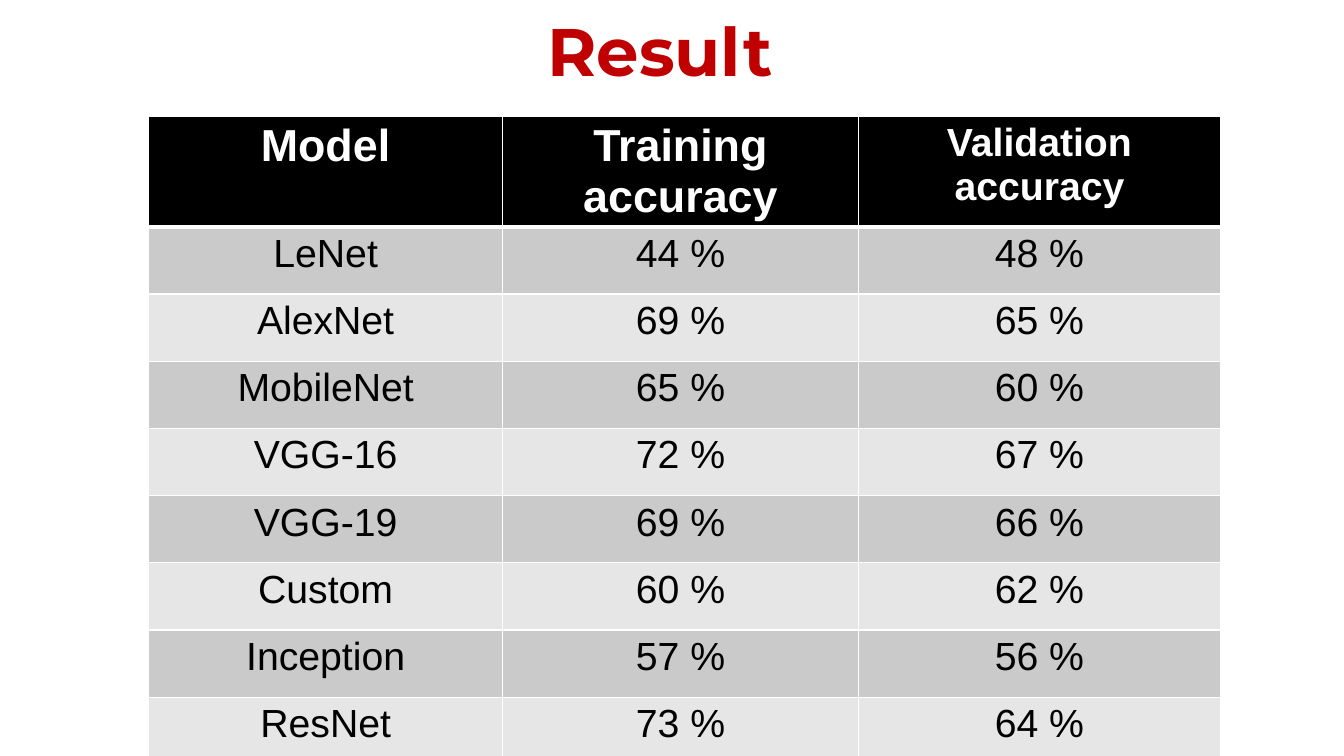
from dataclasses import dataclass

from lxml import etree
from pptx import Presentation
from pptx.dml.color import RGBColor
from pptx.enum.text import MSO_ANCHOR, MSO_AUTO_SIZE, PP_ALIGN
from pptx.oxml.ns import qn
from pptx.slide import Slide
from pptx.table import _Cell
from pptx.text.text import _Paragraph
from pptx.util import Pt

CENTER = PP_ALIGN.CENTER
BOTTOM = MSO_ANCHOR.BOTTOM
NO_AUTO_SIZE = MSO_AUTO_SIZE.NONE

RED = RGBColor(0xC0, 0x00, 0x00)
BLACK = RGBColor(0x00, 0x00, 0x00)
WHITE = RGBColor(0xFF, 0xFF, 0xFF)
DARK_BAND = RGBColor(0xCA, 0xCA, 0xCA)
LIGHT_BAND = RGBColor(0xE6, 0xE6, 0xE6)

TITLE_ONLY_LAYOUT = 5
COLUMN_WIDTHS = (253.2, 253.8, 259)
HEADER_HEIGHT = 49.7
ROW_HEIGHT = 48
THIN_BORDER = 1
HEADER_BORDER = 3


@dataclass(frozen=True)
class HeaderCell:
    text: str
    size: float


@dataclass(frozen=True)
class ModelResult:
    model: str
    training: int
    validation: int

    def texts(self) -> tuple[str, str, str]:
        return self.model, f"{self.training} %", f"{self.validation} %"


HEADER = (
    HeaderCell("Model", 32),
    HeaderCell("Training accuracy", 32),
    HeaderCell("Validation accuracy", 28),
)
RESULTS = (
    ModelResult("LeNet", 44, 48),
    ModelResult("AlexNet", 69, 65),
    ModelResult("MobileNet", 65, 60),
    ModelResult("VGG-16", 72, 67),
    ModelResult("VGG-19", 69, 66),
    ModelResult("Custom", 60, 62),
    ModelResult("Inception", 57, 56),
    ModelResult("ResNet", 73, 64),
)


def write_text(paragraph: _Paragraph, text: str, font: str, size: float,
               color: RGBColor, bold: bool) -> None:
    paragraph.alignment = CENTER
    run = paragraph.add_run()
    run.text = text
    for name, value in {"name": font, "size": Pt(size), "bold": bold}.items():
        setattr(run.font, name, value)
    run.font.color.rgb = color


def set_borders(cell: _Cell, top: float, bottom: float) -> None:
    """Give the cell white borders, thin at its left and right."""
    properties = cell._tc.get_or_add_tcPr()
    widths = {"a:lnL": THIN_BORDER, "a:lnR": THIN_BORDER,
              "a:lnT": top, "a:lnB": bottom}
    for position, (tag, width) in enumerate(widths.items()):
        line = etree.Element(qn(tag), w=str(Pt(width)))
        fill = etree.SubElement(line, qn("a:solidFill"))
        etree.SubElement(fill, qn("a:srgbClr"), val=str(WHITE))
        properties.insert(position, line)


def fill_cell(cell: _Cell, text: str, size: float, color: RGBColor, bold: bool,
              background: RGBColor, top: float, bottom: float) -> None:
    write_text(cell.text_frame.paragraphs[0], text, "Arial", size, color, bold)
    cell.fill.solid()
    cell.fill.fore_color.rgb = background
    set_borders(cell, top, bottom)


def add_title(slide: Slide) -> None:
    title = slide.shapes.title
    bounds = {"left": 111.6, "top": 15, "width": 720, "height": 54}
    for name, value in bounds.items():
        setattr(title, name, Pt(value))
    frame = title.text_frame
    layout = {
        "vertical_anchor": BOTTOM, "word_wrap": True, "auto_size": NO_AUTO_SIZE,
        "margin_left": Pt(7.2), "margin_right": Pt(7.2),
        "margin_top": Pt(3.6), "margin_bottom": Pt(3.6),
    }
    for name, value in layout.items():
        setattr(frame, name, value)
    paragraph = frame.paragraphs[0]
    paragraph.line_spacing = 0.9
    write_text(paragraph, "Result", "Montserrat", 48, RED, True)


def add_results_table(slide: Slide) -> None:
    height = HEADER_HEIGHT + ROW_HEIGHT * len(RESULTS)
    table = slide.shapes.add_table(
        len(RESULTS) + 1, len(HEADER),
        Pt(106), Pt(83), Pt(sum(COLUMN_WIDTHS)), Pt(height),
    ).table
    for column, width in zip(table.columns, COLUMN_WIDTHS):
        column.width = Pt(width)
    for index, row in enumerate(table.rows):
        row.height = Pt(ROW_HEIGHT if index else HEADER_HEIGHT)

    for column, header in enumerate(HEADER):
        fill_cell(table.cell(0, column), header.text, header.size, WHITE, True,
                  BLACK, THIN_BORDER, HEADER_BORDER)
    for row, result in enumerate(RESULTS, start=1):
        background = DARK_BAND if row % 2 else LIGHT_BAND
        top = HEADER_BORDER if row == 1 else THIN_BORDER
        for column, text in enumerate(result.texts()):
            fill_cell(table.cell(row, column), text, 28, BLACK, False,
                      background, top, THIN_BORDER)


def main() -> None:
    presentation = Presentation()
    presentation.slide_width = Pt(960)
    presentation.slide_height = Pt(540)
    layout = presentation.slide_layouts[TITLE_ONLY_LAYOUT]
    slide = presentation.slides.add_slide(layout)
    add_title(slide)
    add_results_table(slide)
    presentation.save("out.pptx")


if __name__ == "__main__":
    main()
